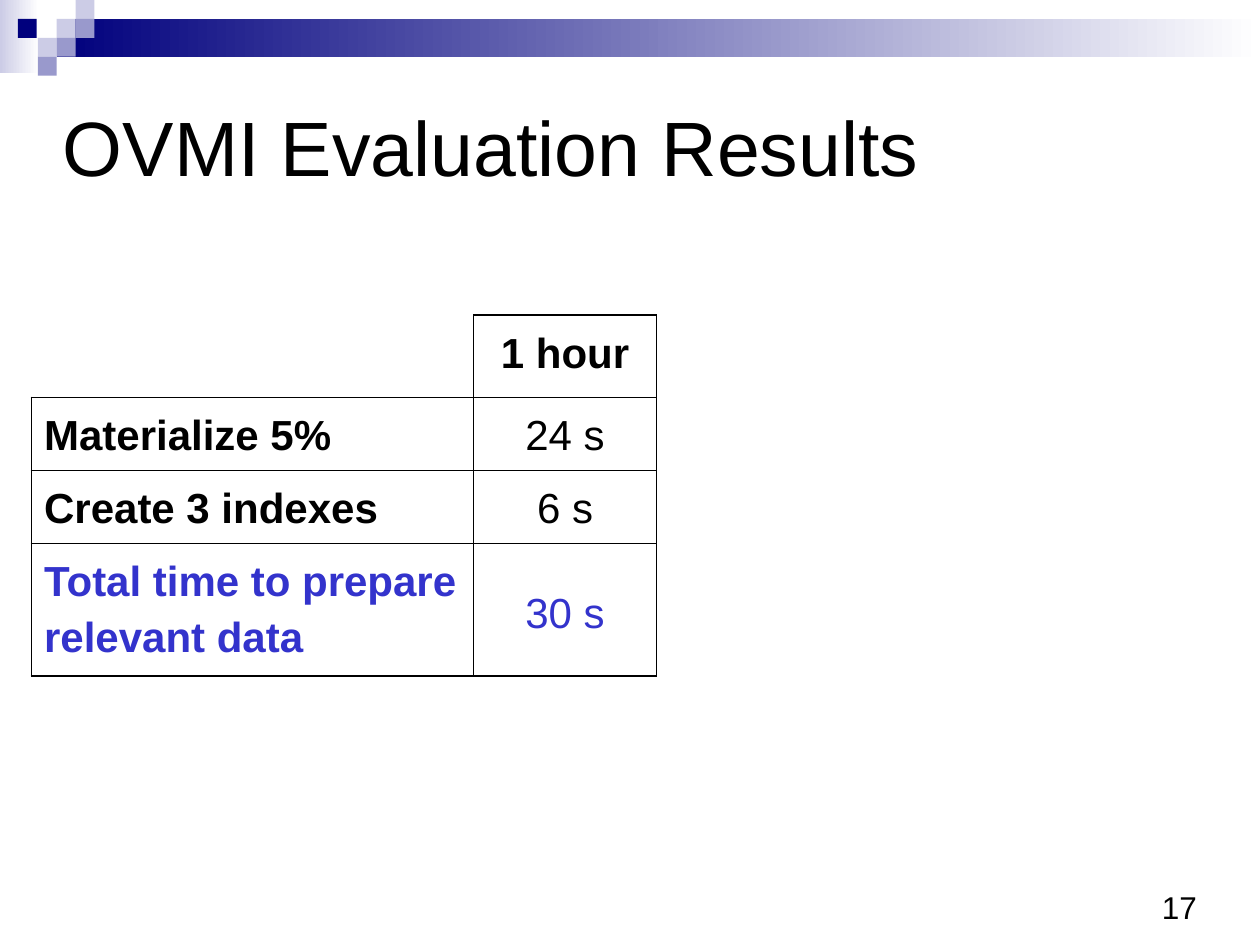
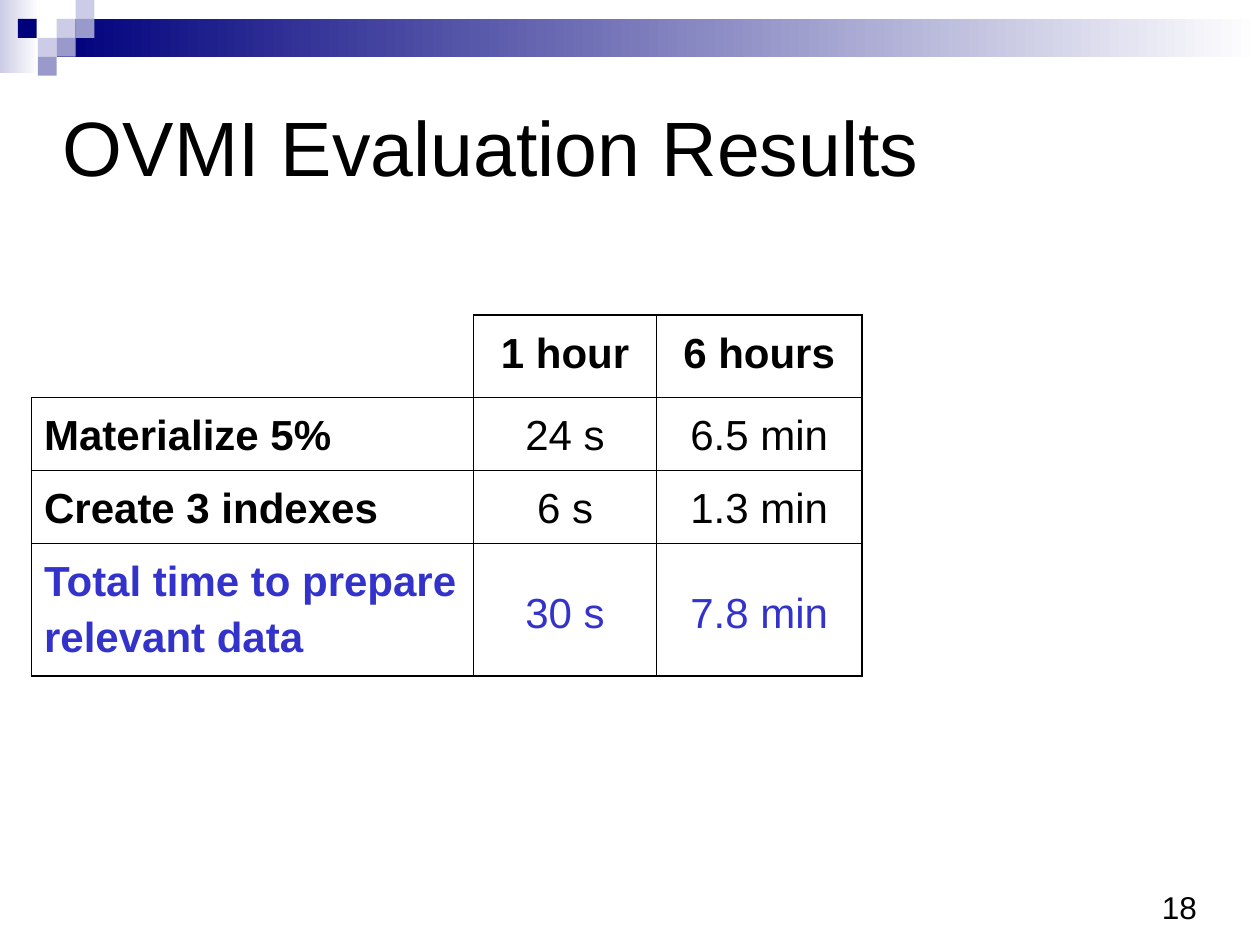
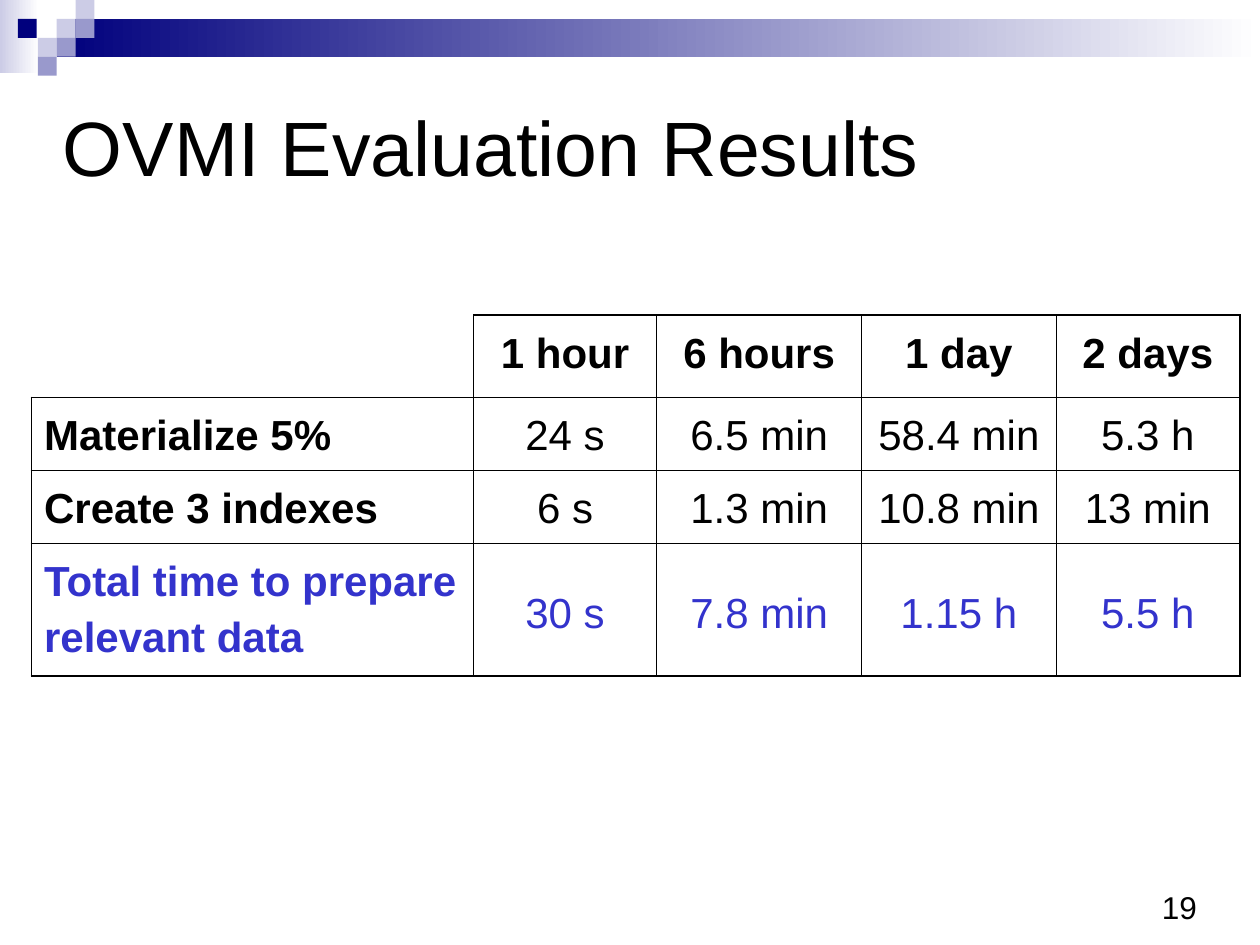
from lxml import etree
from pptx import Presentation
from pptx import util as u
from pptx.dml.color import RGBColor
from pptx.enum import shapes, text
from pptx.oxml.ns import qn

BLACK = RGBColor(0x00, 0x00, 0x00)
WHITE = RGBColor(0xFF, 0xFF, 0xFF)
NAVY = RGBColor(0x00, 0x00, 0x7D)
PALE = RGBColor(0xCC, 0xCC, 0xE6)
MID = RGBColor(0x99, 0x99, 0xCC)
BLUE = RGBColor(0x33, 0x33, 0xCC)

FONT = "Arial"
TITLE = "OVMI Evaluation Results"
STEP = 10.8  # side of one mosaic square
THIN, THICK = 0.45, 1.08

# Mosaic squares: column, row, colour
TILES = [
    (3, 1, PALE), (4, 0, PALE), (4, 1, MID), (2, 2, PALE),
    (0.94, 1, NAVY), (3, 2, MID), (2, 3, MID),
]

# Table columns: width, cells from top to bottom
LABELS = (252.7, ["", "Materialize 5%", "Create 3 indexes",
                  "Total time to prepare relevant data"])
TIMES = [
    (104.4, ["1 hour", "24 s", "6 s", "30 s"]),
    (117.4, ["6 hours", "6.5 min", "1.3 min", "7.8 min"]),
    (110.9, ["1 day", "58.4 min", "10.8 min", "1.15 h"]),
    (105.1, ["2 days", "5.3 h", "13 min", "5.5 h"]),
]
ROWS = [46.8, 41.8, 41.8, 75.6]


class Deck:
    def __init__(self):
        self.prs = Presentation()
        self.prs.slide_width, self.prs.slide_height = u.Pt(720), u.Pt(540)
        self.slide = None

    def page(self, num):
        """Start a slide with its band, mosaic, number and title."""
        self.slide = self.prs.slides.add_slide(self.prs.slide_layouts[6])
        self.fade(0, 0, 22.3, 41.8, PALE)
        self.fade(32.4, STEP, 687.6, 21.6, NAVY)
        for col, row, color in TILES:
            tile = self.rect(col * STEP, row * STEP, STEP, STEP)
            tile.fill.solid()
            tile.fill.fore_color.rgb = color
        self.label(str(num), 504, 24, 18, text.PP_ALIGN.RIGHT)
        self.label(TITLE, 24, 108, 44, text.PP_ALIGN.LEFT)

    def rect(self, left, top, width, height):
        box = self.slide.shapes.add_shape(
            shapes.MSO_SHAPE.RECTANGLE,
            u.Pt(left), u.Pt(top), u.Pt(width), u.Pt(height))
        box.shadow.inherit = False
        box.line.fill.background()
        return box

    def fade(self, left, top, width, height, color):
        """Rectangle that fades from a colour at the left to white."""
        fill = self.rect(left, top, width, height).fill
        fill.gradient()
        fill.gradient_angle = 180
        for stop, tone in zip(fill.gradient_stops, (WHITE, color)):
            stop.color.rgb = tone

    def label(self, words, top, height, size, align):
        frame = self.slide.shapes.add_textbox(
            u.Pt(36), u.Pt(top), u.Pt(648), u.Pt(height)).text_frame
        frame.word_wrap = True
        frame.vertical_anchor = text.MSO_ANCHOR.MIDDLE
        frame.margin_left = frame.margin_right = 0
        frame.margin_top = frame.margin_bottom = 0
        self.style(frame, words, size, align)

    def style(self, frame, words, size, align, color=BLACK, bold=False):
        frame.text = words
        para = frame.paragraphs[0]
        para.alignment = align
        para.line_spacing = 1.19
        for run in para.runs:
            font = run.font
            font.name, font.size, font.bold = FONT, u.Pt(size), bold
            font.color.rgb = color
        return para

    def table(self, left, top, cols):
        grid = self.slide.shapes.add_table(
            len(ROWS), len(cols), u.Pt(left), u.Pt(top),
            u.Pt(sum(width for width, _ in cols)), u.Pt(sum(ROWS))).table
        grid.first_row = grid.horz_banding = False
        for row, height in zip(grid.rows, ROWS):
            row.height = u.Pt(height)
        end_row, end_col = len(ROWS) - 1, len(cols) - 1
        for c, (width, words) in enumerate(cols):
            grid.columns[c].width = u.Pt(width)
            for r, word in enumerate(words):
                cell = grid.cell(r, c)
                corner = r == c == 0
                edge = 0 if corner else THICK
                self.border(cell, "L", THIN if c else edge)
                self.border(cell, "R", THICK if c == end_col else THIN)
                self.border(cell, "T", THIN if r else edge)
                self.border(cell, "B", THICK if r == end_row else THIN)
                cell.fill.background()
                if corner:
                    continue
                total = r == end_row
                if total and c:
                    cell.vertical_anchor = text.MSO_ANCHOR.MIDDLE
                para = self.style(
                    cell.text_frame, word, 24,
                    text.PP_ALIGN.CENTER if c else text.PP_ALIGN.LEFT,
                    BLUE if total else BLACK, r == 0 or c == 0)
                para.space_before = u.Pt(8)

    def border(self, cell, side, width):
        """Draw one cell edge; a width of 0 leaves it open."""
        props = cell._tc.get_or_add_tcPr()
        line = etree.SubElement(props, qn("a:ln" + side))
        line.set("w", str(int(u.Pt(width))))
        if not width:
            etree.SubElement(line, qn("a:noFill"))
            return
        fill = etree.SubElement(line, qn("a:solidFill"))
        etree.SubElement(fill, qn("a:srgbClr")).set("val", str(BLACK))


def main():
    deck = Deck()
    # Each slide reveals more time spans
    for num, count in [(17, 1), (18, 2), (19, 4)]:
        deck.page(num)
        deck.table(18, 180, [LABELS] + TIMES[:count])
    deck.prs.save("out.pptx")


if __name__ == "__main__":
    main()
